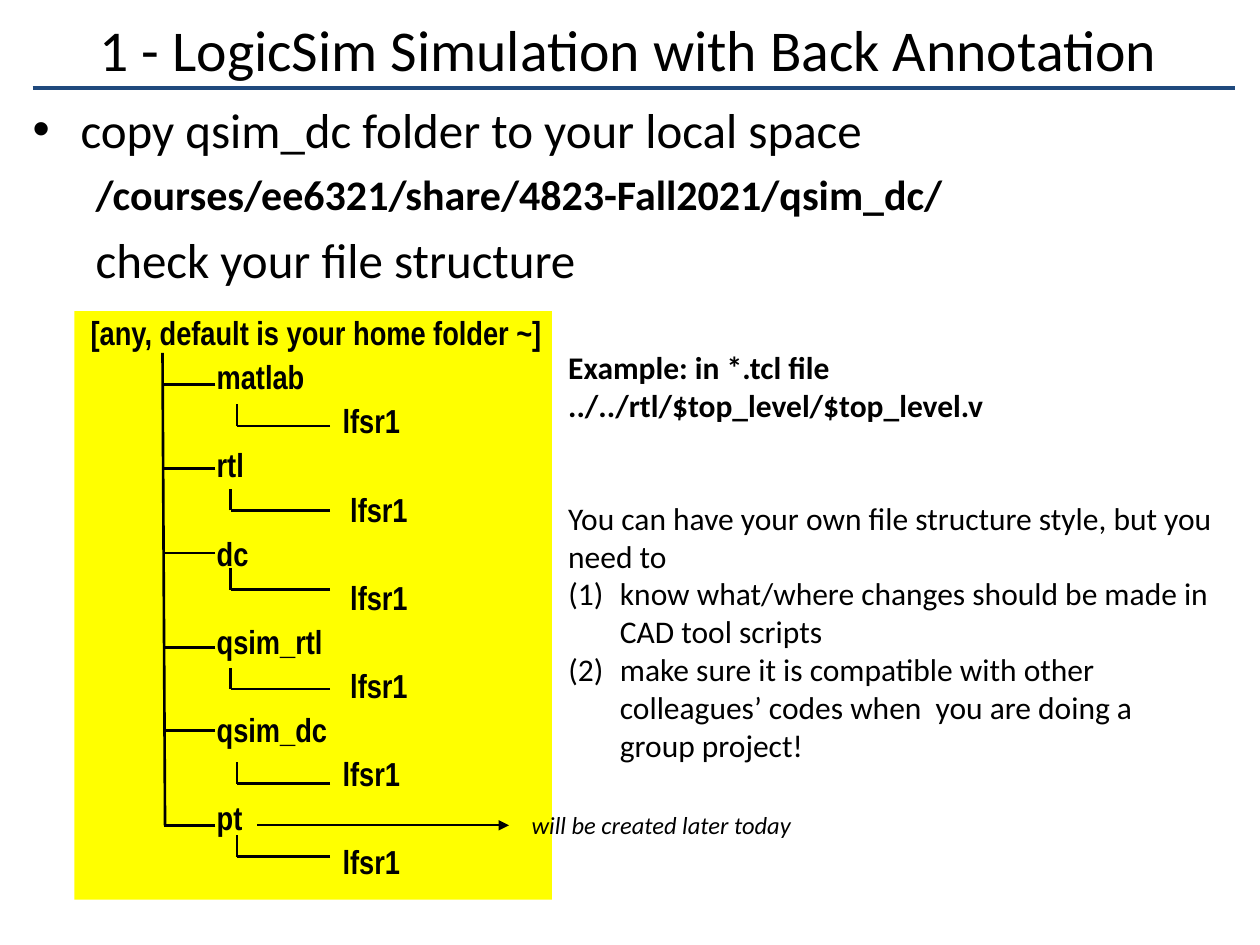
import pptx
import pptx.util
import pptx.dml.color
import pptx.enum.shapes
import pptx.oxml
import pptx.oxml.ns

presentation = pptx.Presentation()
presentation.slide_width = pptx.util.Inches(10)
presentation.slide_height = pptx.util.Inches(7.5)
slide = presentation.slides.add_slide(presentation.slide_layouts[6])
COLUMN = presentation.slide_width / 10
ROW = presentation.slide_height / 7.5
NAMESPACE = pptx.oxml.ns.nsdecls("a")
color = pptx.dml.color.RGBColor.from_string


def add_text(left, top, width, height, paragraphs):
    box = slide.shapes.add_textbox(
        round(left * COLUMN), round(top * ROW), round(width * COLUMN), round(height * ROW))
    frame = box.text_frame
    frame.word_wrap = True
    for side in ("left", "right", "top", "bottom"):
        setattr(frame, "margin_" + side, 0)
    for index, (text, style, indent, hanging, before, bullet) in enumerate(paragraphs):
        paragraph = frame.paragraphs[0] if index == 0 else frame.add_paragraph()
        paragraph.space_before = pptx.util.Pt(before)
        run = paragraph.add_run()
        run.text = text
        run.font.color.rgb = color("000000")
        for name, value in style.items():
            setattr(run.font, name, value)
        properties = paragraph._p.get_or_add_pPr()
        properties.set("marL", str(round(indent * COLUMN)))
        properties.set("indent", str(round(-hanging * COLUMN)))
        for element in bullet:
            properties.append(pptx.oxml.parse_xml(element))


def add_line(start_x, start_y, end_x, end_y, line_color="000000", width=1.5):
    line = slide.shapes.add_connector(
        pptx.enum.shapes.MSO_CONNECTOR.STRAIGHT, round(start_x * COLUMN),
        round(start_y * ROW), round(end_x * COLUMN), round(end_y * ROW))
    line.line.color.rgb = color(line_color)
    line.line.width = pptx.util.Pt(width)
    line._element.spPr.append(pptx.oxml.parse_xml(f"<a:effectLst {NAMESPACE}/>"))
    return line


calibri = {"name": "Calibri", "bold": False}
title_style = {**calibri, "size": pptx.util.Pt(33)}
body_style = {**calibri, "size": pptx.util.Pt(28)}
folder_path_style = {**calibri, "size": pptx.util.Pt(24), "bold": True}
note_style = {**calibri, "size": pptx.util.Pt(18)}
example_style = {**note_style, "bold": True}
later_style = {**calibri, "size": pptx.util.Pt(14), "italic": True}
tree_style = {"name": "Arial Narrow", "size": pptx.util.Pt(19), "bold": True}
plain = ()
dot = (f'<a:buFont {NAMESPACE} typeface="Arial"/>', f'<a:buChar {NAMESPACE} char="•"/>')
number = (f'<a:buAutoNum {NAMESPACE} type="arabicParenBoth"/>',)

panel = slide.shapes.add_shape(
    pptx.enum.shapes.MSO_SHAPE.RECTANGLE,
    round(0.59 * COLUMN), round(2.47 * ROW), round(3.79 * COLUMN), round(4.67 * ROW))
panel.shadow.inherit = False
panel.fill.solid()
panel.fill.fore_color.rgb = color("FFFF00")
panel.line.fill.background()

add_text(0.34, 0.11, 9.33, 0.67, [
    ("1 - LogicSim Simulation with Back Annotation", title_style, 0.45, 0, 0, plain)])
add_text(0.25, 0.79, 8.84, 1.51, [
    ("copy qsim_dc folder to your local space", body_style, 0.39, 0.38, 0, dot),
    ("/courses/ee6321/share/4823-Fall2021/qsim_dc/", folder_path_style, 0.51, 0, 5.9, plain),
    ("check your file structure", body_style, 0.51, 0, 5.9, plain)])

tree_top, tree_pitch, label_height = 2.48, 0.35, 0.33
trunk, folder_left, child_end, stem = 1.3, 1.71, 2.62, 0.17
folder_width, child_width = 0.98, 0.6
add_text(0.71, tree_top, 3.65, label_height, [
    ("[any, default is your home folder ~]", tree_style, 0.01, 0, 0, plain)])
add_line(1.31, 6.55, 1.29, 2.8)

folders = [
    ("matlab", 3.05, 1.88, 3.38, 2.71),
    ("rtl", 3.72, 1.83, 4.05, 2.77),
    ("dc", 4.39, 1.83, 4.68, 2.77),
    ("qsim_rtl", 5.14, 1.83, 5.47, 2.77),
    ("qsim_dc", 5.8, 1.88, 6.22, 2.71),
    ("pt", 6.55, 1.88, 6.8, 2.71),
]
for index, (folder, branch_y, stem_x, child_y, child_left) in enumerate(folders):
    folder_top = tree_top + (2 * index + 1) * tree_pitch
    add_text(folder_left, folder_top, folder_width, label_height, [
        (folder, tree_style, 0.01, 0, 0, plain)])
    add_text(child_left, folder_top + tree_pitch, child_width, label_height, [
        ("lfsr1", tree_style, 0.01, 0, 0, plain)])
    add_line(folder_left, branch_y, trunk, branch_y)
    add_line(child_end, child_y, stem_x, child_y)
    add_line(stem_x, child_y, stem_x, child_y - stem)

arrow = add_line(2.04, 6.55, 4.04, 6.55, width=1.25)
arrow.line._get_or_add_ln().append(pptx.oxml.parse_xml(
    f'<a:tailEnd {NAMESPACE} type="triangle" w="med" len="med"/>'))
add_text(4.21, 6.43, 2.5, 0.25, [
    ("will be created later today", later_style, 0.01, 0, 0, plain)])

add_text(4.5, 2.76, 4.5, 0.61, [
    ("Example: in *.tcl file", example_style, 0.01, 0, 0, plain),
    ("../../rtl/$top_level/$top_level.v", example_style, 0.01, 0, 0, plain)])
add_text(4.5, 3.96, 5.12, 2.36, [
    ("You can have your own file structure style, but you need to",
     note_style, 0.01, 0, 0, plain),
    ("know what/where changes should be made in CAD tool scripts",
     note_style, 0.42, 0.41, 0, number),
    ("make sure it is compatible with other colleagues’ codes when  you are doing a group project!",
     note_style, 0.42, 0.41, 0, number)])
add_line(0.26, 0.7, 9.8, 0.7, "1F497D", 2.25)

presentation.save("out.pptx")
